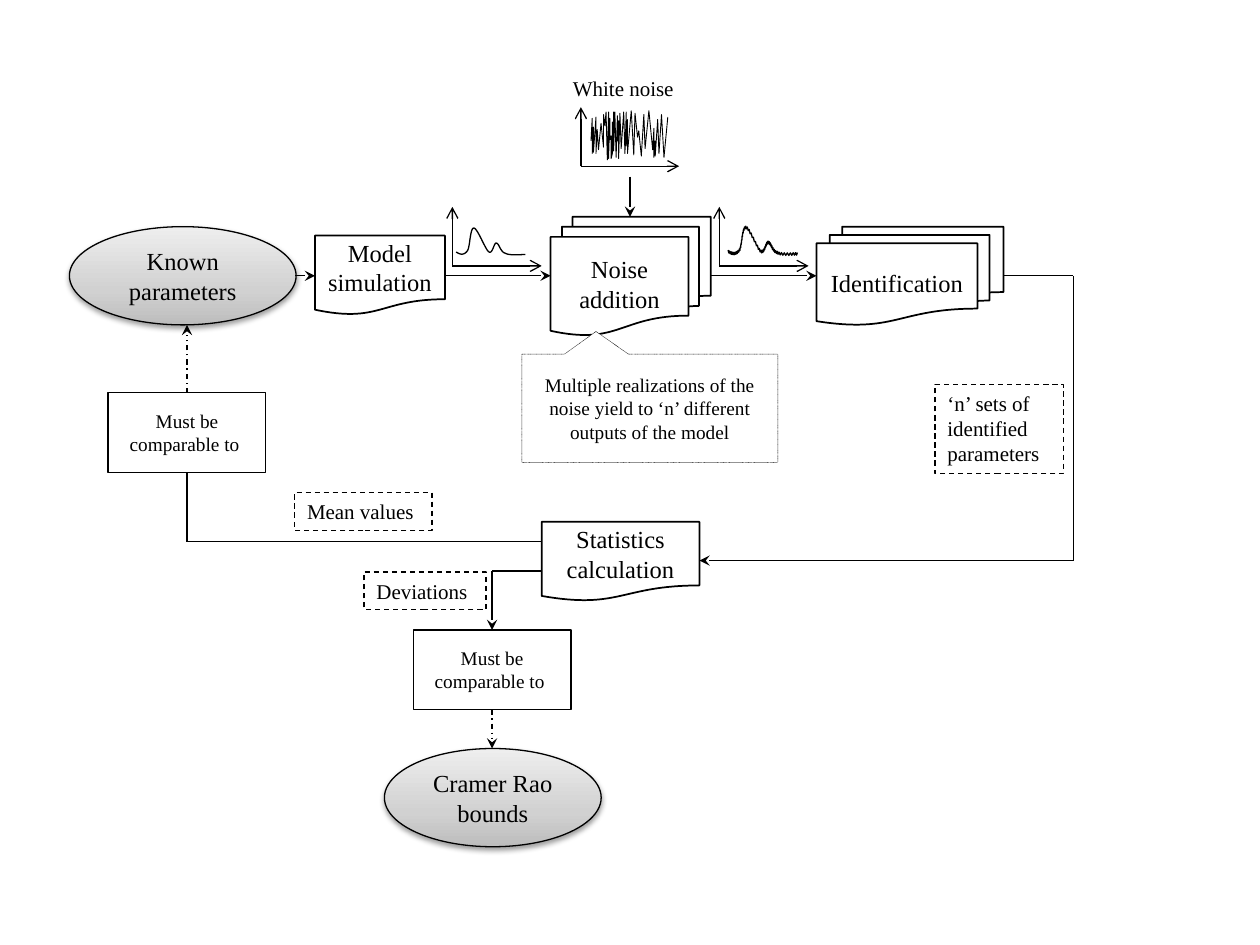
from copy import deepcopy
from lxml.etree import SubElement
from pptx import Presentation
from pptx.dml.color import RGBColor
from pptx.enum.dml import MSO_LINE
from pptx.enum.shapes import MSO_CONNECTOR, MSO_SHAPE
from pptx.enum.text import MSO_ANCHOR, PP_ALIGN
from pptx.oxml.ns import qn
from pptx.util import Cm, Pt

COLOURS = {"ink": "000000", "paper": "FFFFFF", "low": "BDBDBD", "middle": "D1D1D1", "high": "EEEEEE"}
INK = RGBColor.from_string(COLOURS["ink"])
FONT = "Times New Roman"

deck = Presentation()
deck.slide_width, deck.slide_height = Cm(25.4), Cm(19.05)
page = deck.slides.add_slide(deck.slide_layouts[6])


def add_box(text, place, kind=MSO_SHAPE.RECTANGLE, size=14, weight=0.75, dash=None,
            filled=True, align=PP_ALIGN.CENTER, anchor=MSO_ANCHOR.MIDDLE, wrap=True):
    box = page.shapes.add_shape(kind, *[Cm(value) for value in place])
    box.shadow.inherit = False
    if filled:
        box.fill.solid()
        box.fill.fore_color.rgb = RGBColor.from_string(COLOURS["paper"])
    else:
        box.fill.background()
    if weight:
        box.line.color.rgb = INK
        box.line.width = Pt(weight)
        box.line.dash_style = dash
    else:
        box.line.fill.background()
    frame = box.text_frame
    frame.word_wrap = wrap
    frame.vertical_anchor = anchor
    para = frame.paragraphs[0]
    para.alignment = align
    span = para.add_run()
    span.text = text
    span.font.name = FONT
    span.font.size = Pt(size)
    span.font.color.rgb = INK
    return box


def add_line(shapes, start, end, head=None, dash=None):
    line = shapes.add_connector(MSO_CONNECTOR.STRAIGHT, *[Cm(value) for value in start + end])
    line.line.color.rgb = INK
    line.line.width = Pt(0.75)
    line.line.dash_style = dash
    if head:
        SubElement(line.line._get_or_add_ln(), qn("a:tailEnd"), type=head)
    SubElement(line._element.spPr, qn("a:effectLst"))


for text, place in [
    ("Known parameters", (1.4, 4.57, 4.57, 1.98)),
    ("Cramer Rao bounds", (7.75, 15.09, 4.37, 1.98)),
]:
    ellipse = add_box(text, place, kind=MSO_SHAPE.OVAL)
    ellipse.fill.gradient()
    ellipse.fill.gradient_angle = 90
    first_stop = ellipse._element.spPr.find(".//" + qn("a:gs"))
    first_stop.addnext(deepcopy(first_stop))
    for stop, position, shade in zip(ellipse.fill.gradient_stops, (0, 0.35, 1), ("low", "middle", "high")):
        stop.position = position
        stop.color.rgb = RGBColor.from_string(COLOURS[shade])
    effects = ellipse._element.spPr.find(qn("a:effectLst"))
    shadow = SubElement(effects, qn("a:outerShdw"), blurRad="40000", dist="20000", dir="5400000", rotWithShape="0")
    shadow_colour = SubElement(shadow, qn("a:srgbClr"), val=COLOURS["ink"])
    SubElement(shadow_colour, qn("a:alpha"), val="38000")

for text, kind, place in [
    ("Noise addition", MSO_SHAPE.FLOWCHART_MULTIDOCUMENT, (11.1, 4.37, 3.23, 2.39)),
    ("Model simulation", MSO_SHAPE.FLOWCHART_DOCUMENT, (6.35, 4.75, 2.62, 1.6)),
    ("Identification", MSO_SHAPE.FLOWCHART_MULTIDOCUMENT, (16.46, 4.57, 3.77, 1.98)),
    ("Statistics calculation", MSO_SHAPE.FLOWCHART_DOCUMENT, (10.92, 10.52, 3.18, 1.6)),
]:
    add_box(text, place, kind=kind, weight=1)

callout = add_box("Multiple realizations of the noise yield to ‘n’ different outputs of the model",
                  (10.52, 7.14, 5.16, 2.18), kind=MSO_SHAPE.RECTANGULAR_CALLOUT,
                  size=11, weight=0.25, dash=MSO_LINE.ROUND_DOT)
callout.adjustments[0], callout.adjustments[1] = -0.21, -0.71

for left, top in [(2.18, 7.92), (8.33, 12.7)]:
    add_box("Must be comparable to ", (left, top, 3.18, 1.6), size=11)

for text, place in [
    ("‘n’ sets of identified parameters", (18.85, 7.75, 2.59, 1.8)),
    ("Mean values", (5.94, 9.93, 2.77, 0.76)),
    ("Deviations", (7.34, 11.53, 2.46, 0.76)),
]:
    add_box(text, place, size=12, dash=MSO_LINE.DASH, filled=False,
            align=PP_ALIGN.LEFT, anchor=MSO_ANCHOR.TOP)
add_box("White noise", (11.3, 1.4, 2.57, 0.76), size=12, weight=0, filled=False,
        align=PP_ALIGN.LEFT, anchor=MSO_ANCHOR.TOP, wrap=False)

for start, end, head, dash in [
    ((5.95, 5.56), (6.35, 5.56), "stealth", None),
    ((8.97, 5.56), (11.1, 5.56), "stealth", None),
    ((14.33, 5.56), (16.46, 5.56), "stealth", None),
    ((12.7, 3.56), (12.7, 4.37), "stealth", None),
    ((20.24, 5.56), (21.64, 5.56), None, None),
    ((21.64, 5.56), (21.64, 11.3), None, None),
    ((21.64, 11.3), (14.1, 11.3), "stealth", None),
    ((10.92, 10.92), (3.77, 10.92), None, None),
    ((3.77, 10.92), (3.77, 9.52), None, None),
    ((3.77, 7.92), (3.77, 6.55), "stealth", MSO_LINE.DASH_DOT),
    ((10.92, 11.51), (9.92, 11.51), None, None),
    ((9.92, 11.51), (9.92, 12.7), "stealth", None),
    ((9.92, 14.3), (9.92, 15.09), "stealth", MSO_LINE.DASH_DOT),
]:
    add_line(page.shapes, start, end, head=head, dash=dash)

curves = [
    (6, 9, 9, 8, 12, 12), (14, 15, 14, 30, 17, 30), (20, 30, 26, 13, 29, 11),
    (32, 9, 33, 19, 35, 18), (37, 18, 38, 11, 42, 10), (45, 8, 55, 9, 58, 9),
]
samples = 16
pulse = [(3, 11)]
for x1, y1, x2, y2, x3, y3 in curves:
    x0, y0 = pulse[-1]
    for index in range(1, samples + 1):
        t = index / samples
        s = 1 - t
        pulse.append((
            s**3 * x0 + 3 * s * s * t * x1 + 3 * s * t * t * x2 + t**3 * x3,
            s**3 * y0 + 3 * s * s * t * y1 + 3 * s * t * t * y2 + t**3 * y3,
        ))
noisy_pulse = [(x + 4, y + 0.5 + (-1) ** index) for index, (x, y) in enumerate(pulse)]
white_noise = [
    (8, 20), (9, 38), (9, 10), (10, 31), (10, 11), (12, 39), (12, 10), (13, 29), (14, 13), (16, 34),
    (18, 15), (18, 41), (19, 32), (20, 43), (21, 5), (22, 43), (22, 6), (23, 38), (23, 21), (24, 24),
    (24, 6), (25, 10), (25, 35), (26, 23), (26, 43), (26, 12), (27, 43), (28, 7), (29, 40), (29, 20),
    (30, 36), (30, 6), (31, 42), (32, 14), (34, 43), (35, 10), (36, 43), (36, 16), (37, 37), (37, 10),
    (40, 44), (42, 9), (43, 42), (45, 23), (46, 28), (48, 8), (50, 41), (51, 14), (54, 44), (57, 13),
    (58, 30), (58, 7), (59, 20), (59, 8), (61, 37), (62, 10), (64, 41), (66, 7), (69, 39),
]
unit = Cm(2.54) / 100

for left, base, width, signal, weight in [
    (9.12, 5.36, 1.8, pulse, 0.75),
    (11.71, 3.35, 1.98, white_noise, 0.5),
    (14.5, 5.36, 1.8, noisy_pulse, 0.75),
]:
    plot = page.shapes.add_group_shape()
    add_line(plot.shapes, (left, base), (left + width, base), head="arrow")
    add_line(plot.shapes, (left, base), (left, base - 1.19), head="arrow")
    points = [(round(Cm(left) + x * unit), round(Cm(base) - y * unit)) for x, y in signal]
    builder = plot.shapes.build_freeform(*points[0])
    builder.add_line_segments(points[1:], close=False)
    trace = builder.convert_to_shape()
    trace.shadow.inherit = False
    trace.fill.background()
    trace.line.color.rgb = INK
    trace.line.width = Pt(weight)

deck.save("out.pptx")
